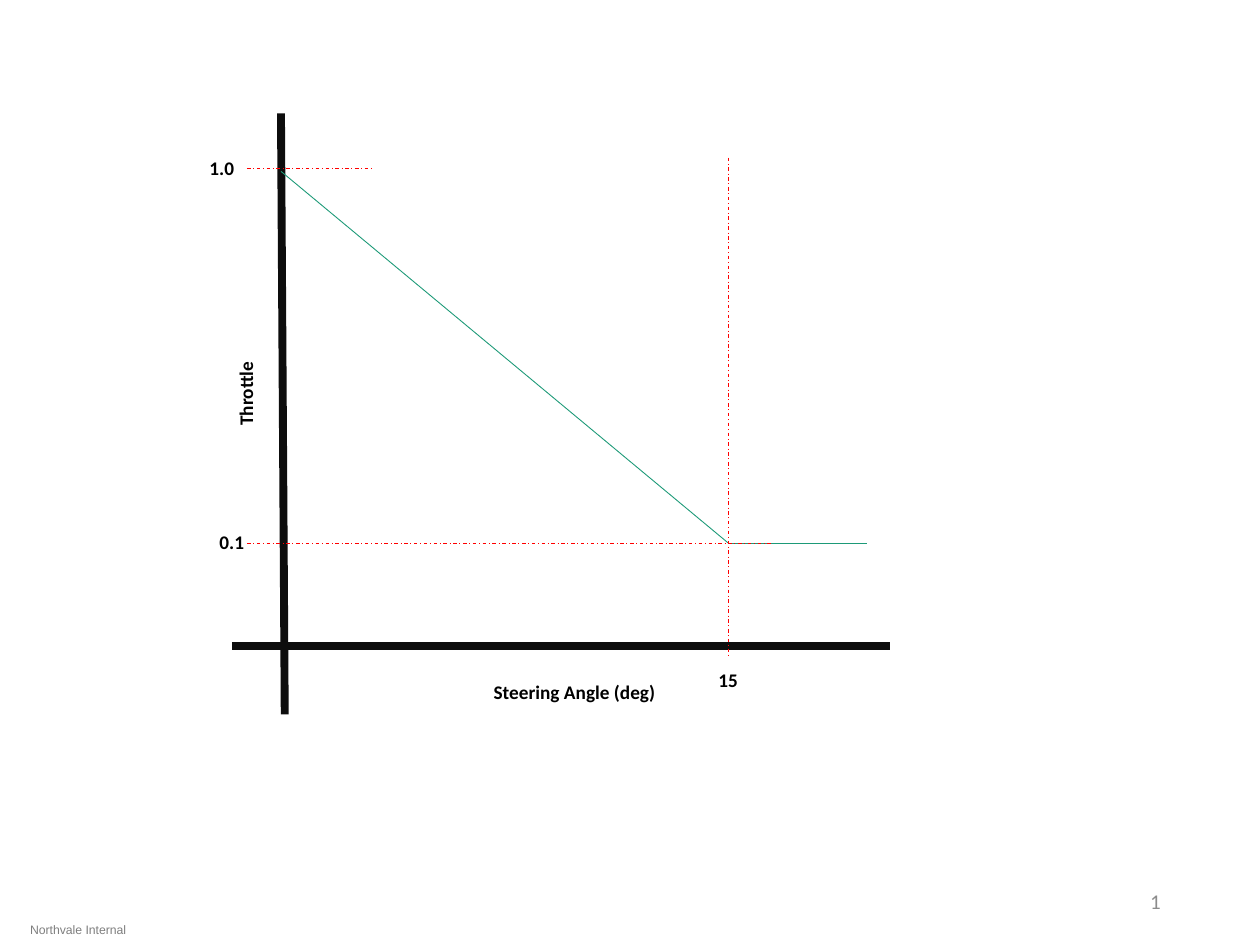
import pptx
import pptx.util
import pptx.dml.color
import pptx.enum.dml
import pptx.enum.shapes
import pptx.enum.text
import pptx.oxml.ns
import lxml.etree

Inches = pptx.util.Inches
Pt = pptx.util.Pt
ALIGN = pptx.enum.text.PP_ALIGN
ANCHOR = pptx.enum.text.MSO_ANCHOR
DASH = pptx.enum.dml.MSO_LINE.DASH_DOT
INK, GREEN, RED = "0D0D0D", "1D9A78", "FF0000"


def paint(value):
    return pptx.dml.color.RGBColor.from_string(value)


def write(slide, text, box, size=11, font="Calibri", color="000000", bold=False,
          align=ALIGN.LEFT, anchor=ANCHOR.MIDDLE, space=1.0, turn=0):
    shape = slide.shapes.add_textbox(*[Inches(n) for n in box])
    shape.rotation = turn
    frame = shape.text_frame
    frame.word_wrap = True
    frame.vertical_anchor = anchor
    para = frame.paragraphs[0]
    para.alignment = align
    para.line_spacing = space
    run = para.add_run()
    run.text = text
    run.font.size = Pt(size)
    run.font.name = font
    run.font.bold = bold
    run.font.color.rgb = paint(color)
    return shape


def rule(slide, start, end, color, width=0.5, dash=None):
    ends = [Inches(n) for n in (*start, *end)]
    line = slide.shapes.add_connector(pptx.enum.shapes.MSO_CONNECTOR.STRAIGHT, *ends)
    line.line.color.rgb = paint(color)
    line.line.width = Pt(width)
    if dash:
        line.line.dash_style = dash
    props = line._element.spPr
    lxml.etree.SubElement(props, pptx.oxml.ns.qn("a:effectLst"))


def graph(slide, box):
    left, top, wide, high = box
    base = top + 4.23
    zero = left + 0.39
    bend = left + 3.94
    full, low = top + 0.44, top + 3.41
    tick = left + 0.12

    rule(slide, (zero, top), (zero + 0.03, top + high), INK, 4.5)
    rule(slide, (left, base), (left + wide, base), INK, 4.5)
    rule(slide, (zero, full + 0.02), (bend, low), GREEN)
    rule(slide, (left + 5.04, low), (bend, low), GREEN)
    rule(slide, (bend, top + 0.35), (bend, base + 0.09), RED, dash=DASH)
    for level, end in ((full, left + 1.11), (low, left + 4.28)):
        rule(slide, (tick, level), (end, level), RED, dash=DASH)

    labels = [
        ("Steering Angle (deg)", left + 2.72, base + 0.37, 0),
        ("Throttle", left + 0.12, top + 2.22, 270),
        ("1.0", left - 0.08, full, 0),
        ("0.1", left, low, 0),
        ("15", bend, base + 0.27, 0),
    ]
    for text, x, y, turn in labels:
        write(slide, text, (x - 0.77, y - 0.27, 1.54, 0.55), bold=True,
              align=ALIGN.CENTER, space=0.9, turn=turn)


def footer(slide, box):
    left, top, wide, high = box
    write(slide, "1", (left + 6.92, top, 2.25, 0.4), size=12, color="8C8C8C",
          align=ALIGN.RIGHT)
    write(slide, "Northvale Internal", (left, top + high - 0.22, wide, 0.22), size=7,
          font="Arial", color="7F7F7F", anchor=ANCHOR.TOP)


def main():
    deck = pptx.Presentation()
    deck.slide_width, deck.slide_height = Inches(10), Inches(7.5)
    slide = deck.slides.add_slide(deck.slide_layouts[6])
    graph(slide, (1.84, 0.9, 5.22, 4.77))
    footer(slide, (0.14, 6.95, 9.72, 0.54))
    deck.save("out.pptx")


if __name__ == "__main__":
    main()
